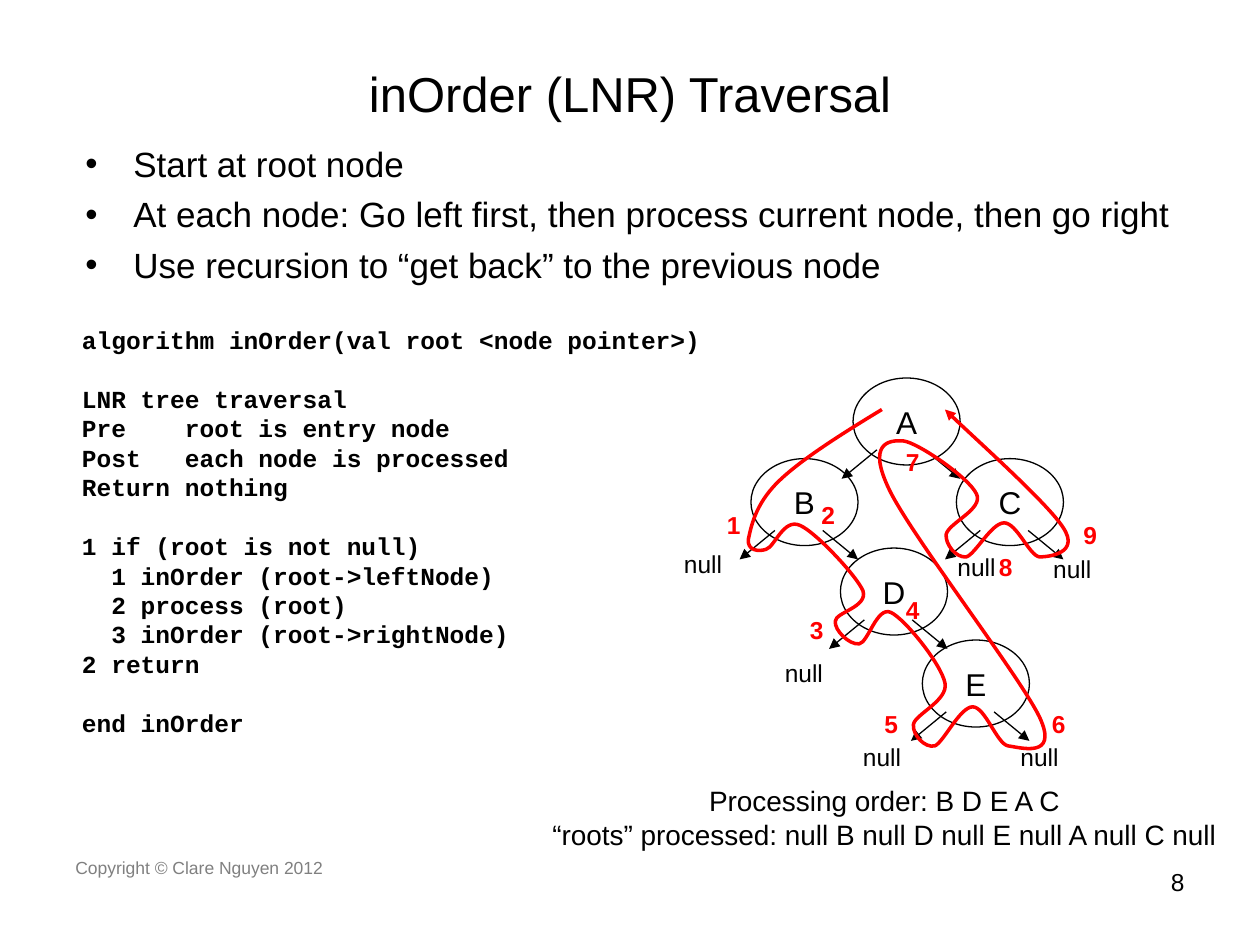
from lxml.etree import Element, SubElement
from pptx import Presentation
from pptx.dml.color import RGBColor
from pptx.enum.shapes import MSO_CONNECTOR, MSO_SHAPE
from pptx.enum.text import MSO_ANCHOR, PP_ALIGN
from pptx.oxml.ns import qn
from pptx.util import Inches, Pt

BLACK = RGBColor(0, 0, 0)
GRAY = RGBColor(128, 128, 128)
RED = RGBColor(255, 0, 0)

BULLETS = [
    "Start at root node",
    "At each node: Go left first, then process current node, then go right",
    "Use recursion to “get back” to the previous node",
]
CODE = [
    ["algorithm inOrder(val root <node pointer>)"],
    [
        "LNR tree traversal",
        "Pre    root is entry node",
        "Post   each node is processed",
        "Return nothing",
    ],
    [
        "1 if (root is not null)",
        "  1 inOrder (root->leftNode)",
        "  2 process (root)",
        "  3 inOrder (root->rightNode)",
        "2 return",
    ],
    ["end inOrder"],
]
NODES = {"D": (667, 435), "E": (732, 508), "B": (596, 364),
         "A": (677, 300), "C": (759, 364)}
NULLS = [(533, 431), (826, 435), (613, 517), (675, 584), (800, 584), (750, 433)]
STEPS = [(567, 400), (642, 392), (633, 483), (709, 467), (692, 558),
         (825, 558), (709, 350), (783, 433), (850, 408)]
START = (700, 325)
WALK = [
    (667, 345), (634, 366), (617, 383), (599, 401), (596, 419), (594, 428),
    (593, 437), (602, 438), (608, 436), (615, 434), (622, 411), (635, 417),
    (647, 422), (680, 457), (685, 469), (689, 482), (663, 486), (663, 493),
    (662, 500), (674, 512), (682, 511), (689, 510), (696, 481), (707, 486),
    (718, 491), (747, 527), (750, 542), (753, 556), (726, 567), (725, 575),
    (724, 583), (734, 594), (742, 592), (749, 589), (762, 561), (772, 561),
    (782, 561), (791, 590), (800, 592), (809, 593), (841, 603), (825, 569),
    (809, 536), (724, 426), (706, 389), (688, 352), (705, 349), (717, 350),
    (728, 351), (769, 379), (775, 392), (781, 404), (753, 415), (751, 424),
    (750, 432), (759, 443), (767, 442), (774, 440), (787, 415), (797, 415),
    (807, 415), (817, 441), (825, 442), (833, 442), (857, 439), (844, 419),
    (832, 400), (766, 341), (750, 325),
]


class Deck:
    font = "Arial"
    cols, rows = 1000, 750

    def __init__(self):
        self.show = Presentation()
        self.show.slide_width = Inches(10)
        self.show.slide_height = Inches(7.5)
        self.slide = self.show.slides.add_slide(self.show.slide_layouts[6])
        self.shapes = self.slide.shapes
        self.col = self.show.slide_width // self.cols
        self.row = self.show.slide_height // self.rows

    def place(self, *spots):
        return [spot * (self.row if i % 2 else self.col)
                for i, spot in enumerate(spots)]

    def style(self, para, size, color=BLACK, bold=False, font=None):
        para.font.name = font or self.font
        para.font.size = Pt(size)
        para.font.bold = bold
        para.font.color.rgb = color

    def text(self, lines, at, size, color=BLACK, bold=False, font=None,
             align=PP_ALIGN.LEFT, wrap=False, anchor=MSO_ANCHOR.TOP):
        frame = self.shapes.add_textbox(*self.place(*at)).text_frame
        frame.word_wrap = wrap
        frame.vertical_anchor = anchor
        frame.text = "\n".join(lines)
        for para in frame.paragraphs:
            para.alignment = align
            self.style(para, size, color, bold, font)
        return frame

    def bullets(self, lines, at, size):
        frame = self.text([], at, size, wrap=True)
        for i, line in enumerate(lines):
            para = frame.add_paragraph() if i else frame.paragraphs[0]
            para.text = line
            props = para._p.get_or_add_pPr()
            props.set("marL", str(Inches(0.38)))
            props.set("indent", str(-Inches(0.38)))
            if i:
                para.space_before = Pt(5)
            SubElement(props, qn("a:buFont"), typeface=self.font)
            SubElement(props, qn("a:buChar"), char="•")
            self.style(para, size)

    def code(self, blocks, at, size):
        lines = [line for block in blocks for line in block]
        frame = self.text(lines, at, size, bold=True, font="Courier New",
                          anchor=MSO_ANCHOR.MIDDLE)
        frame.margin_left = frame.margin_right = frame.margin_bottom = 0
        frame.margin_top = Inches(0.08)
        pitch = Pt(size * 1.2)
        heads = [block[0] for block in blocks[1:]]
        for para in frame.paragraphs:
            para.line_spacing = pitch
            if para.text in heads:
                para.space_before = pitch

    def tip(self, line):
        SubElement(line._get_or_add_ln(), qn("a:tailEnd"), type="triangle")

    def arrow(self, *ends):
        line = self.shapes.add_connector(MSO_CONNECTOR.STRAIGHT, *self.place(*ends))
        line.line.color.rgb = BLACK
        line.line.width = Pt(0.75)
        self.tip(line.line)
        SubElement(line.element.spPr, qn("a:effectLst"))

    def node(self, name, x, y):
        oval = self.shapes.add_shape(MSO_SHAPE.OVAL, *self.place(x, y, 85, 69))
        oval.shadow.inherit = False
        oval.fill.background()
        oval.line.color.rgb = BLACK
        oval.line.width = Pt(0.75)
        frame = oval.text_frame
        frame.word_wrap = False
        frame.vertical_anchor = MSO_ANCHOR.MIDDLE
        frame.text = name
        para = frame.paragraphs[0]
        para.alignment = PP_ALIGN.CENTER
        self.style(para, 18)
        for near, far in ((57, 85), (19, -9)):
            self.arrow(x + near, y + 57, x + far, y + 80)

    def curve(self, start, points):
        pen = self.shapes.build_freeform(*start, scale=(self.col, self.row))
        pen.add_line_segments(points, close=False)
        shape = pen.convert_to_shape()
        shape.shadow.inherit = False
        shape.fill.background()
        shape.line.color.rgb = RED
        shape.line.width = Pt(2)
        self.tip(shape.line)
        parts = list(shape.element.iter(qn("a:lnTo")))
        for i in range(0, len(parts), 3):
            bend = Element(qn("a:cubicBezTo"))
            parts[i].addprevious(bend)
            for part in parts[i:i + 3]:
                bend.append(part[0])
                part.getparent().remove(part)


def main():
    deck = Deck()
    deck.text(["Copyright © Clare Nguyen 2012"], (50, 675, 317, 52), 10, GRAY, wrap=True)
    deck.text(["8"], (717, 683, 233, 52), 14, align=PP_ALIGN.RIGHT, wrap=True)
    deck.text(["inOrder (LNR) Traversal"], (50, 30, 900, 87), 28,
              align=PP_ALIGN.CENTER, wrap=True, anchor=MSO_ANCHOR.MIDDLE)
    deck.bullets(BULLETS, (58, 108, 900, 133), 20)
    deck.code(CODE, (65, 250, 492, 335), 14)
    for name, spot in NODES.items():
        deck.node(name, *spot)
    for spot in NULLS:
        deck.text(["null"], (*spot, 65, 34), 14, wrap=True)
    for step, spot in enumerate(STEPS, 1):
        deck.text([str(step)], (*spot, 31, 34), 14, RED, bold=True)
    deck.text(["Processing order: B D E A C",
               "“roots” processed: null B null D null E null A null C null"],
              (427, 617, 550, 64), 16, align=PP_ALIGN.CENTER)
    deck.curve(START, WALK)
    deck.show.save("out.pptx")


if __name__ == "__main__":
    main()
